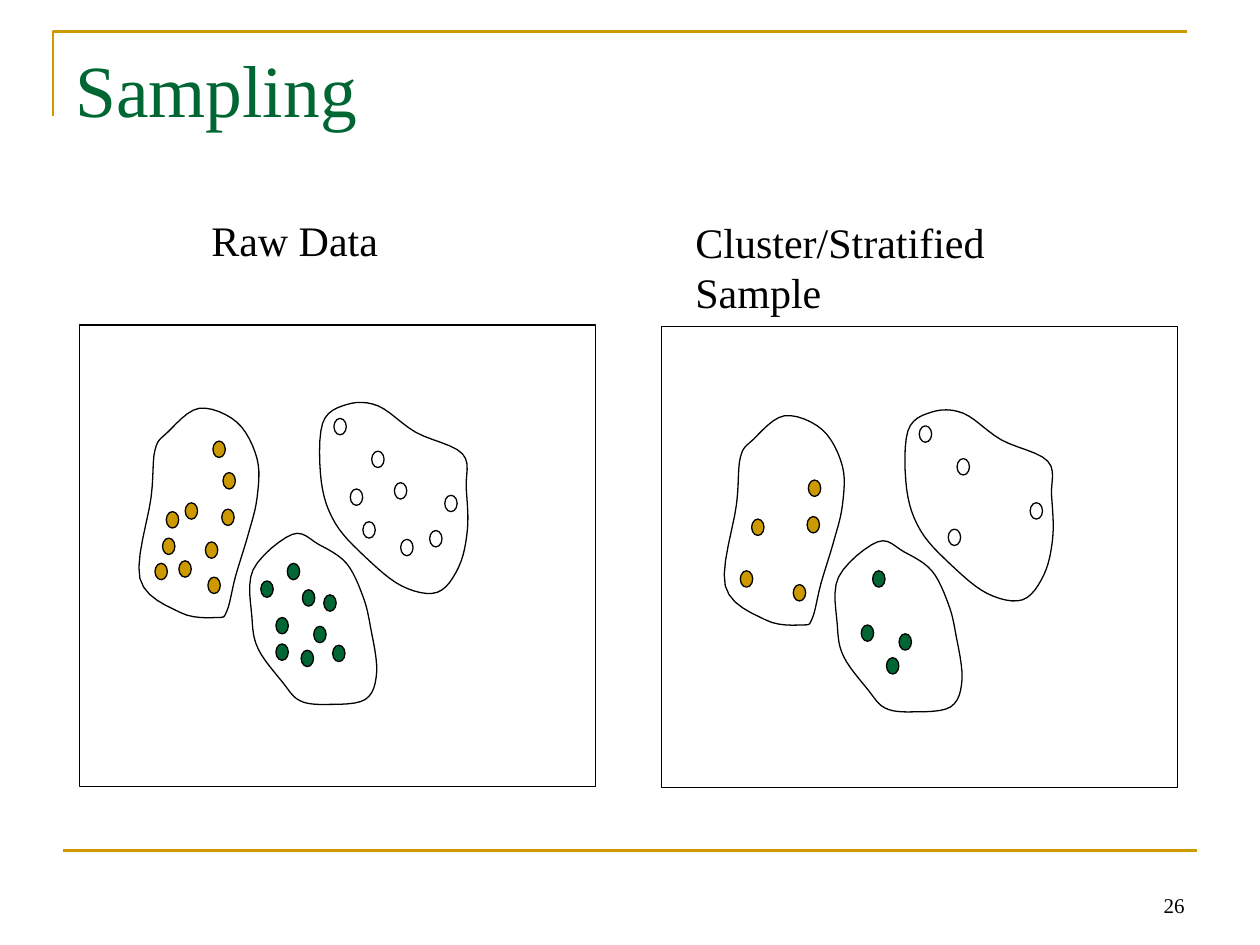
from dataclasses import dataclass

from lxml.etree import SubElement
from pptx import Presentation
from pptx.dml.color import RGBColor
from pptx.enum.shapes import MSO_CONNECTOR as Connector, MSO_SHAPE as Shape
from pptx.enum.text import MSO_ANCHOR as Anchor, PP_ALIGN as Align
from pptx.oxml.ns import qn
from pptx.util import Cm, Pt

COLORS = {"gold": "CC9900", "green": "006633", "white": "FFFFFF", "black": "000000"}
FONT = "Times New Roman"
HUNDREDTH_INCH = Cm(2.54) / 100
MAP_ORIGIN = (111, 318)
CURVE_STEPS = 6


@dataclass
class Cluster:
    """Points in hundredths of an inch; the first sampled dots form the sample."""
    color: str
    sampled: int
    dots: list
    outline: list


CLUSTERS = [
    Cluster(
        "white", 4,
        [(295, 358), (288, 414), (353, 393), (265, 332),
         (313, 383), (278, 388), (341, 421), (318, 428)],
        [(367, 360), (370, 387), (371, 420), (364, 450), (347, 470), (319, 465), (290, 442),
         (266, 415), (255, 382), (256, 336), (275, 321), (300, 322), (330, 343)]),
    Cluster(
        "green", 4,
        [(239, 516), (249, 497), (219, 490), (228, 447), (207, 461),
         (257, 472), (219, 511), (240, 468), (264, 512)],
        [(201, 452), (232, 424), (253, 432), (275, 447), (288, 473), (294, 497), (299, 533),
         (290, 555), (260, 559), (238, 556), (224, 541), (205, 515), (200, 490)]),
    Cluster(
        "gold", 5,
        [(123, 447), (132, 406), (165, 458), (176, 404), (177, 375),
         (142, 445), (129, 427), (163, 430), (147, 399), (169, 350)],
        [(158, 324), (188, 335), (204, 364), (204, 395), (197, 424), (187, 457), (180, 485),
         (172, 490), (143, 486), (111, 459), (120, 394), (123, 357), (133, 343)]),
]


def rgb(name):
    """Return the named palette colour."""
    return RGBColor.from_string(COLORS[name])


def style(shape, fill=None, line="black", width=0.75):
    """Set fill and line and drop the shadow."""
    shape.shadow.inherit = False
    if fill:
        shape.fill.solid()
        shape.fill.fore_color.rgb = rgb(fill)
    else:
        shape.fill.background()
    shape.line.color.rgb = rgb(line)
    shape.line.width = Pt(width)


def add_text(page, box, text, size, color="black", align=Align.LEFT, anchor=Anchor.TOP):
    """Place one paragraph of text in a box given in centimetres."""
    frame = page.shapes.add_textbox(*map(Cm, box)).text_frame
    frame.word_wrap = True
    frame.vertical_anchor = anchor
    para = frame.paragraphs[0]
    para.alignment = align
    span = para.add_run()
    span.text = text
    span.font.name = FONT
    span.font.size = Pt(size)
    span.font.color.rgb = rgb(color)


def smooth(outline):
    """Return points of a closed Catmull-Rom curve through the outline."""
    points = []
    for index in range(len(outline)):
        corners = [outline[(index + shift) % len(outline)] for shift in (-1, 0, 1, 2)]
        for step in range(CURVE_STEPS):
            t = step / CURVE_STEPS
            points.append(tuple(
                b + t * (c - a + t * (2 * a - 5 * b + 4 * c - d
                                      + t * (3 * (b - c) + d - a))) / 2
                for a, b, c, d in zip(*corners)))
    return points


def add_clusters(page, left, top, sample):
    """Draw the cluster map with its top left corner at the given place."""
    group = page.shapes.add_group_shape()

    def locate(point):
        """Convert a map point to slide lengths."""
        return tuple(round(Cm(corner) + (value - origin) * HUNDREDTH_INCH)
                     for corner, value, origin in zip((left, top), point, MAP_ORIGIN))

    for cluster in CLUSTERS:
        first, *rest = map(locate, smooth(cluster.outline))
        builder = group.shapes.build_freeform(*first)
        builder.add_line_segments(rest, close=True)
        style(builder.convert_to_shape())
        for dot in cluster.dots[:cluster.sampled if sample else None]:
            style(group.shapes.add_shape(Shape.FLOWCHART_CONNECTOR, *locate(dot),
                                         Cm(0.25), Cm(0.33)), cluster.color)


def add_panel(page, left, top, inset, sample):
    """Draw a framed cluster map, inset from the frame's corner."""
    style(page.shapes.add_shape(Shape.RECTANGLE, *map(Cm, (left, top, 10.41, 9.3))))
    add_clusters(page, left + inset[0], top + inset[1], sample)


def add_frame(page, left, top, width):
    """Draw the corner bracket, the footer rule and the page number."""
    builder = page.shapes.build_freeform(Cm(left), Cm(top + 1.7))
    builder.add_line_segments([(Cm(left), Cm(top)), (Cm(left + width), Cm(top))], close=False)
    style(builder.convert_to_shape(), line="gold", width=1.5)
    rule_left, rule_top = left + 0.2, top + 16.51
    rule = page.shapes.add_connector(
        Connector.STRAIGHT, *map(Cm, (rule_left, rule_top, rule_left + width, rule_top)))
    rule.line.color.rgb = rgb("gold")
    rule.line.width = Pt(1.5)
    SubElement(rule.element.spPr, qn("a:effectLst"))
    add_text(page, (rule_left + width - 5.93, rule_top + 0.2, 5.93, 1.27), "26", 12,
             align=Align.RIGHT, anchor=Anchor.BOTTOM)


def main():
    """Build the sampling slide."""
    deck = Presentation()
    deck.slide_width, deck.slide_height = Cm(25.4), Cm(19.05)
    page = deck.slides.add_slide(deck.slide_layouts[6])
    add_frame(page, 1.07, 0.64, 22.86)
    add_text(page, (1.27, 0.76, 22.86, 3.18), "Sampling", 42, "green")
    add_panel(page, 1.6, 6.55, (1.22, 1.53), sample=False)
    add_panel(page, 13.33, 6.58, (1.29, 1.65), sample=True)
    add_text(page, (4.01, 4.19, 4.2, 1.27), "Raw Data", 24)
    add_text(page, (13.77, 4.24, 8.8, 1.27), "Cluster/Stratified Sample", 24)
    deck.save("out.pptx")


if __name__ == "__main__":
    main()
